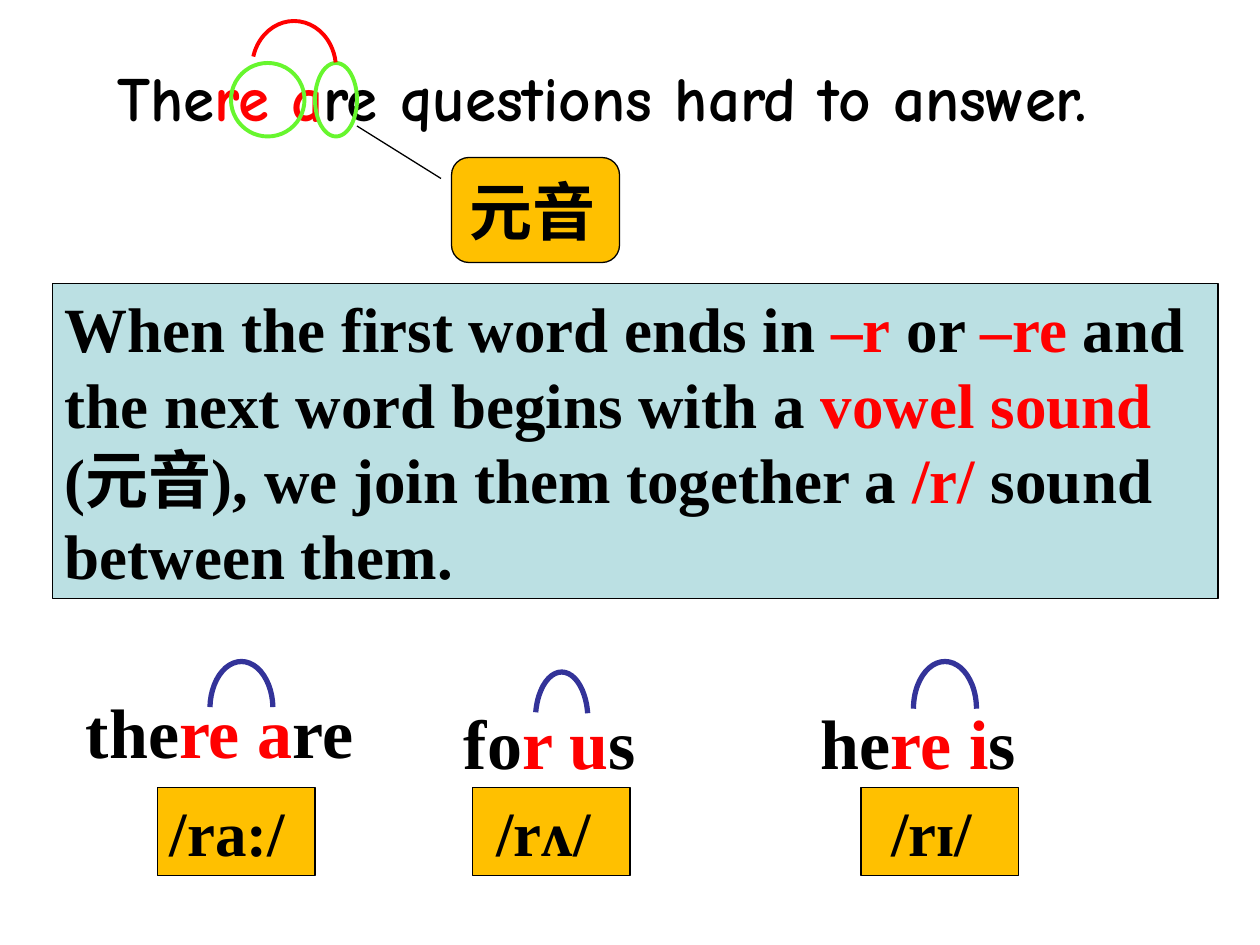
from lxml.etree import SubElement
from pptx import Presentation
from pptx.dml.color import RGBColor
from pptx.enum.shapes import MSO_CONNECTOR, MSO_SHAPE
from pptx.enum.text import MSO_ANCHOR, PP_ALIGN
from pptx.oxml.ns import qn
from pptx.util import Pt

BLACK = RGBColor(0x00, 0x00, 0x00)
RED = RGBColor(0xFF, 0x00, 0x00)
GREEN = RGBColor(0x67, 0xF6, 0x2E)
BLUE = RGBColor(0x33, 0x33, 0x99)
GOLD = RGBColor(0xFF, 0xC0, 0x00)
PALE_BLUE = RGBColor(0xBB, 0xE0, 0xE3)
SERIF = "Times New Roman"
COMIC = "Comic Neue"

# Runs alternate between black and red, starting with black.
SENTENCE = ["The", "re a", "re questions hard to answer."]
VOWEL = ["元音"]
RULE = [
    "When the first word ends in ", "–r", " or ", "–re ",
    "and the next word begins with a ", "vowel sound ",
    "(元音), we join them together a ", "/r/ ", "sound between them.",
]
CIRCLES = [(132, 36, 42, 42), (180, 36, 24, 42)]
SENTENCE_ARC = ((144, 12, 48, 54), (196, 352))
EXAMPLES = [
    dict(words=["the", "re a", "re"], word_box=(42, 390, 168, 104),
         arc_box=(120, 378, 36, 54), angles=(183, 357),
         sound="/ra:/", sound_left=90, align=PP_ALIGN.LEFT),
    dict(words=["fo", "r u", "s"], word_box=(258, 396, 150, 55),
         arc_box=(306, 384, 30, 54), angles=(195, 347),
         sound="/rʌ/ ", sound_left=270, align=PP_ALIGN.CENTER),
    dict(words=["he", "re i", "s"], word_box=(462, 396, 198, 55),
         arc_box=(522, 378, 36, 54), angles=(180, 0),
         sound="/rɪ/ ", sound_left=492, align=PP_ALIGN.CENTER),
]


def points(box):
    return [Pt(length) for length in box]


def write(shape, pieces, size=36, font=SERIF, align=PP_ALIGN.LEFT,
          anchor=MSO_ANCHOR.TOP):
    frame = shape.text_frame
    frame.word_wrap = True
    frame.vertical_anchor = anchor
    paragraph = frame.paragraphs[0]
    paragraph.alignment = align
    paragraph.line_spacing = Pt(size * 1.2)
    for index, piece in enumerate(pieces):
        run = paragraph.add_run()
        run.text = piece
        run.font.name = font
        run.font.size = Pt(size)
        run.font.bold = True
        run.font.color.rgb = RED if index % 2 else BLACK


def add_outline(slide, kind, box, color, width, fill=None):
    shape = slide.shapes.add_shape(kind, *points(box))
    shape.shadow.inherit = False
    if fill is None:
        shape.fill.background()
    else:
        shape.fill.solid()
        shape.fill.fore_color.rgb = fill
    shape.line.color.rgb = color
    shape.line.width = Pt(width)
    return shape


def add_panel(slide, kind, box, fill, pieces, **style):
    panel = add_outline(slide, kind, box, BLACK, 0.75, fill)
    write(panel, pieces, **style)


def add_words(slide, box, pieces, **style):
    write(slide.shapes.add_textbox(*points(box)), pieces, **style)


def add_arc(slide, box, angles, color, width):
    arc = add_outline(slide, MSO_SHAPE.ARC, box, color, width)
    for index, degrees in enumerate(angles):
        arc.adjustments[index] = degrees * 0.6


def add_pointer(slide, start, end):
    pointer = slide.shapes.add_connector(
        MSO_CONNECTOR.STRAIGHT, *points(start + end))
    pointer.line.color.rgb = BLACK
    pointer.line.width = Pt(0.75)
    SubElement(pointer._element.spPr, qn("a:effectLst"))


def main():
    deck = Presentation()
    deck.slide_width, deck.slide_height = Pt(720), Pt(540)
    slide = deck.slides.add_slide(deck.slide_layouts[6])

    add_words(slide, (60, 30, 642, 50.4), SENTENCE, font=COMIC)
    for circle in CIRCLES:
        add_outline(slide, MSO_SHAPE.OVAL, circle, GREEN, 2.25)
    add_pointer(slide, (204, 72), (252, 102))
    add_panel(slide, MSO_SHAPE.ROUNDED_RECTANGLE, (258, 90, 96, 60), GOLD,
              VOWEL, anchor=MSO_ANCHOR.MIDDLE)
    add_arc(slide, *SENTENCE_ARC, RED, 2.25)
    add_panel(slide, MSO_SHAPE.RECTANGLE, (30, 162, 666, 180), PALE_BLUE,
              RULE, anchor=MSO_ANCHOR.MIDDLE)

    for example in EXAMPLES:
        add_words(slide, example["word_box"], example["words"], size=40)
        add_arc(slide, example["arc_box"], example["angles"], BLUE, 3)
        add_panel(slide, MSO_SHAPE.RECTANGLE,
                  (example["sound_left"], 450, 90, 50.4), GOLD,
                  [example["sound"]], align=example["align"])

    deck.save("out.pptx")


if __name__ == "__main__":
    main()
